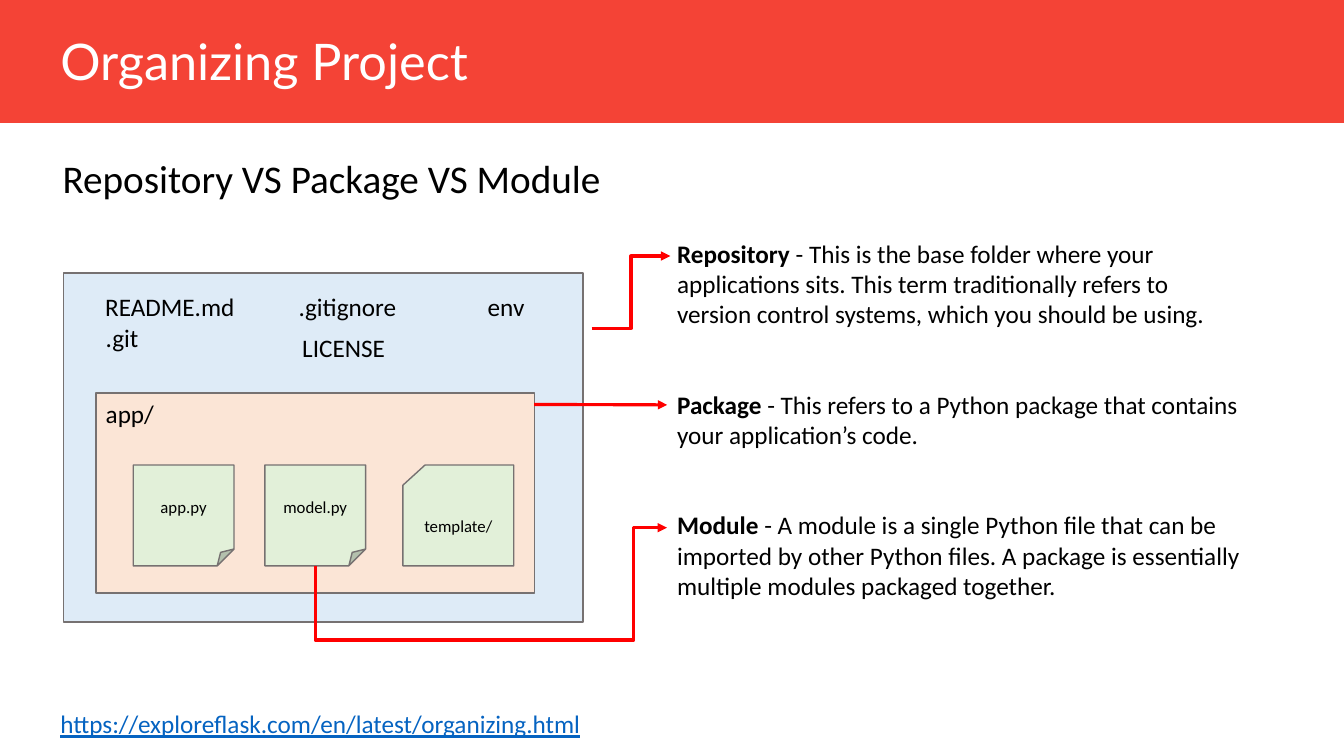
from lxml.etree import SubElement
from pptx import Presentation
from pptx.dml.color import RGBColor
from pptx.enum.shapes import MSO_CONNECTOR, MSO_SHAPE
from pptx.enum.text import MSO_ANCHOR, PP_ALIGN
from pptx.oxml.ns import qn
from pptx.util import Pt

BANNER_RED = RGBColor(0xF4, 0x43, 0x36)
ARROW_RED = RGBColor(0xFF, 0x00, 0x00)
REPOSITORY_BLUE = RGBColor(0xDE, 0xEB, 0xF7)
PACKAGE_ORANGE = RGBColor(0xFB, 0xE5, 0xD6)
MODULE_GREEN = RGBColor(0xE2, 0xF0, 0xD9)
OUTLINE_GRAY = RGBColor(0x76, 0x71, 0x71)
ADDRESS_BLUE = RGBColor(0x05, 0x63, 0xC1)
BLACK = RGBColor(0x00, 0x00, 0x00)
WHITE = RGBColor(0xFF, 0xFF, 0xFF)

ENTRIES = [
    ("README.md", 68, 204.5, 110),
    (".git", 68.4, 226.4, 48),
    (".gitignore", 206.2, 204.5, 88),
    ("LICENSE", 208.8, 233.6, 78),
    ("env", 341.3, 204.5, 50),
    ("app/", 68.4, 280.8, 54),
]
FILES = [
    ("app.py", 95.2, 72, MSO_SHAPE.FOLDED_CORNER),
    ("model.py", 189.2, 72, MSO_SHAPE.FOLDED_CORNER),
    ("template/", 287.8, 79.2, MSO_SHAPE.FLOWCHART_CARD),
]
DEFINITIONS = [
    ("Repository ", "- This is the base folder where your applications sits. This term "
     "traditionally refers to version control systems, which you should be using."),
    ("Package ", "- This refers to a Python package that contains your application’s code."),
    ("Module ", "- A module is a single Python file that can be imported by other Python "
     "files. A package is essentially multiple modules packaged together."),
]


def style_font(paragraph, size, color=BLACK, name="Calibri"):
    paragraph.font.size = Pt(size)
    paragraph.font.color.rgb = color
    paragraph.font.name = name


def add_box(slide, preset, left, top, width, height, fill, outline=None):
    box = slide.shapes.add_shape(preset, Pt(left), Pt(top), Pt(width), Pt(height))
    box.shadow.inherit = False
    box.fill.solid()
    box.fill.fore_color.rgb = fill
    if outline is None:
        box.line.fill.background()
    else:
        box.line.color.rgb = outline
        box.line.width = Pt(1)
    return box


def add_file(slide, label, left, width, preset):
    file_box = add_box(slide, preset, left, 332.2, width, 72, MODULE_GREEN, OUTLINE_GRAY)
    file_box.text_frame.vertical_anchor = MSO_ANCHOR.MIDDLE
    caption = file_box.text_frame.paragraphs[0]
    caption.text = label
    caption.alignment = PP_ALIGN.CENTER
    style_font(caption, 12)


def add_label(slide, text, left, top, width, height=29, size=18, color=BLACK, name="Calibri"):
    label = slide.shapes.add_textbox(Pt(left), Pt(top), Pt(width), Pt(height))
    label.text_frame.word_wrap = False
    line = label.text_frame.paragraphs[0]
    line.text = text
    style_font(line, size, color, name)
    return line


def add_definitions(slide):
    panel = slide.shapes.add_textbox(Pt(476.6), Pt(166.6), Pt(417.6), Pt(268.6))
    frame = panel.text_frame
    frame.word_wrap = True
    for index, (term, meaning) in enumerate(DEFINITIONS):
        definition = frame.add_paragraph() if index else frame.paragraphs[0]
        style_font(definition, 18)
        if index:
            definition.space_before = Pt(43)
        term_run = definition.add_run()
        term_run.text = term
        term_run.font.bold = True
        definition.add_run().text = meaning


def add_arrow(slide, kind, start, end):
    arrow = slide.shapes.add_connector(kind, *(Pt(value) for value in start + end))
    arrow.line.color.rgb = ARROW_RED
    arrow.line.width = Pt(2.25)
    SubElement(arrow.line._get_or_add_ln(), qn("a:tailEnd"), type="triangle")
    SubElement(arrow._element.spPr, qn("a:effectLst"))
    return arrow


def route_around(arrow, first_bend, second_bend):
    properties = arrow._element.spPr
    properties.find(qn("a:xfrm")).set("rot", "5400000")
    geometry = properties.find(qn("a:prstGeom"))
    geometry.set("prst", "bentConnector4")
    bends = geometry.find(qn("a:avLst"))
    for name, bend in (("adj1", first_bend), ("adj2", second_bend)):
        SubElement(bends, qn("a:gd"), name=name, fmla=f"val {bend}")


def main():
    presentation = Presentation()
    presentation.slide_width = Pt(960)
    presentation.slide_height = Pt(540)
    slide = presentation.slides.add_slide(presentation.slide_layouts[6])

    add_box(slide, MSO_SHAPE.RECTANGLE, 0, -0.7, 961, 88.6, BANNER_RED)
    add_label(slide, "Organizing Project", 36, 18, 333.4, 51, 36, WHITE, "Lato")

    add_box(slide, MSO_SHAPE.RECTANGLE, 45.4, 195.1, 371, 249.1, REPOSITORY_BLUE, OUTLINE_GRAY)
    add_box(slide, MSO_SHAPE.RECTANGLE, 68.6, 280.8, 313.2, 142.8, PACKAGE_ORANGE, OUTLINE_GRAY)
    for file_entry in FILES:
        add_file(slide, *file_entry)
    for entry in ENTRIES:
        add_label(slide, *entry)
    add_definitions(slide)

    module_arrow = add_arrow(slide, MSO_CONNECTOR.ELBOW, (364.4, 516.3), (337, 265))
    route_around(module_arrow, -192800, 90600)
    add_arrow(slide, MSO_CONNECTOR.STRAIGHT, (381.6, 288.9), (476.6, 289.2))
    add_arrow(slide, MSO_CONNECTOR.ELBOW, (422.6, 234.7), (478.8, 182.9))

    add_label(slide, "Repository VS Package VS Module", 37.7, 106.6, 404, 41, 28)
    address = add_label(slide, "https://exploreflask.com/en/latest/organizing.html",
                        36, 502.6, 400, color=ADDRESS_BLUE)
    address.font.underline = True
    presentation.save("out.pptx")


if __name__ == "__main__":
    main()
